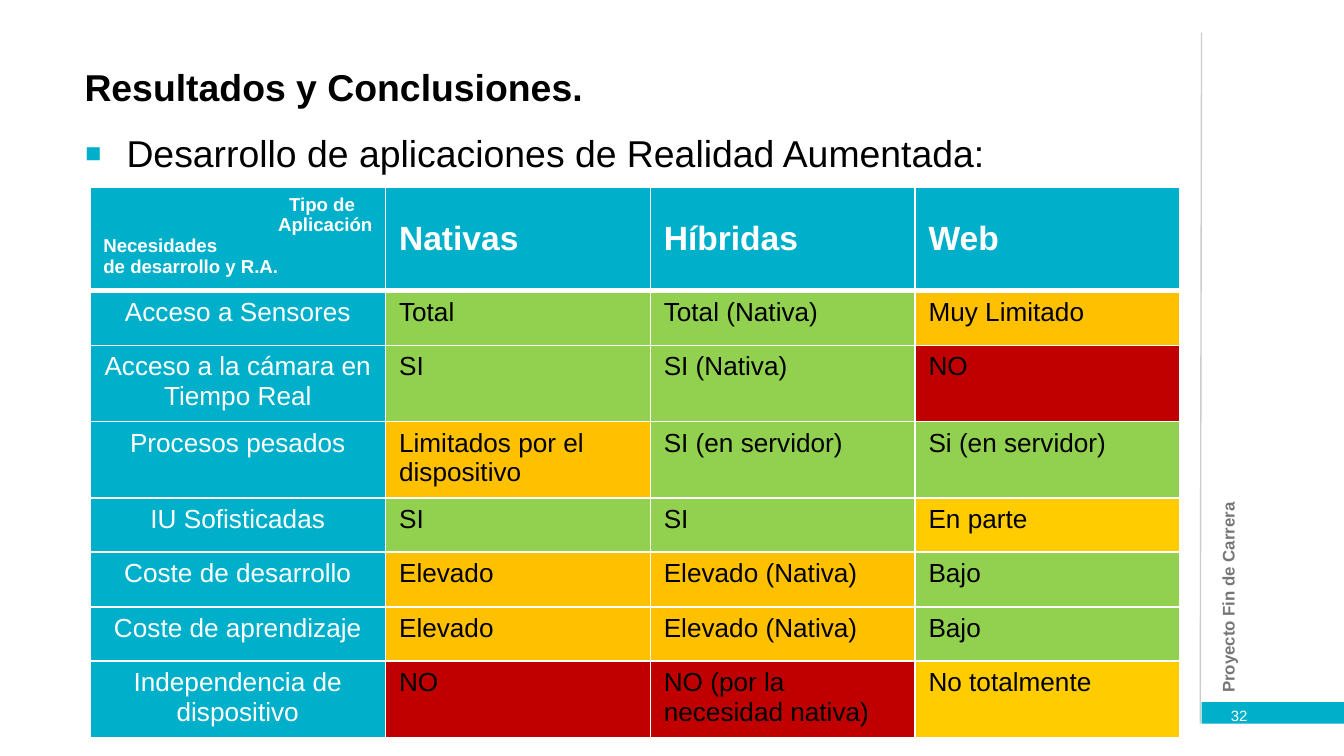
from lxml.etree import SubElement
from pptx import Presentation
from pptx.dml.color import RGBColor
from pptx.enum.shapes import MSO_CONNECTOR, MSO_SHAPE
from pptx.enum.text import MSO_ANCHOR as Anchor, PP_ALIGN as Align
from pptx.oxml.ns import qn
from pptx.util import Pt

TEAL = RGBColor(0x00, 0xB0, 0xCA)
WHITE = RGBColor(0xFF, 0xFF, 0xFF)
BLACK = RGBColor(0x00, 0x00, 0x00)
GREY = RGBColor(0x77, 0x77, 0x77)
RULE = RGBColor(0xCC, 0xCC, 0xCC)
GREEN = RGBColor(0x92, 0xD0, 0x50)
AMBER = RGBColor(0xFF, 0xC0, 0x00)
YELLOW = RGBColor(0xFF, 0xCC, 0x00)
RED = RGBColor(0xC0, 0x00, 0x00)

COLUMNS = ["Nativas", "Híbridas", "Web"]
# Need, then one (answer, rating colour) for each type of application
NEEDS = [
    ("Acceso a Sensores",
     ("Total", GREEN), ("Total (Nativa)", GREEN), ("Muy Limitado", AMBER)),
    ("Acceso a la cámara en Tiempo Real",
     ("SI", GREEN), ("SI (Nativa)", GREEN), ("NO", RED)),
    ("Procesos pesados",
     ("Limitados por el dispositivo", AMBER), ("SI (en servidor)", GREEN),
     ("Si (en servidor)", GREEN)),
    ("IU Sofisticadas",
     ("SI", GREEN), ("SI", GREEN), ("En parte", YELLOW)),
    ("Coste de desarrollo",
     ("Elevado", AMBER), ("Elevado (Nativa)", AMBER), ("Bajo", GREEN)),
    ("Coste de aprendizaje",
     ("Elevado", AMBER), ("Elevado (Nativa)", AMBER), ("Bajo", GREEN)),
    ("Independencia de dispositivo",
     ("NO", RED), ("NO (por la necesidad nativa)", RED),
     ("No totalmente", YELLOW)),
]
HEADER_HEIGHT, ONE_LINE, TWO_LINES = 52.2, 29.2, 38.6
TWO_LINE_NEEDS = {1, 2, 6}


def style(paragraph, size, color, bold=False, align=Align.LEFT):
    font = paragraph.font
    font.name, font.size, font.bold = "Arial", Pt(size), bold
    font.color.rgb = color
    paragraph.alignment = align


def add_text(slide, box, text, size, color, bold=False):
    label = slide.shapes.add_textbox(*map(Pt, box))
    label.text_frame.word_wrap = True
    paragraph = label.text_frame.paragraphs[0]
    paragraph.text = text
    style(paragraph, size, color, bold)
    return label


def add_heading(slide, left, top, width):
    title = add_text(slide, (left, top, width, 34.5),
                     "Resultados y Conclusiones.", 20, BLACK, bold=True)
    title.text_frame.paragraphs[0].line_spacing = Pt(23)

    # Bulleted subject
    subject = add_text(slide, (left, top + 34.5, width, 28),
                       "Desarrollo de aplicaciones de Realidad Aumentada:",
                       20, BLACK)
    paragraph = subject.text_frame.paragraphs[0]
    paragraph.space_before = Pt(4)
    props = paragraph._p.get_or_add_pPr()
    props.set("marL", str(Pt(22.5)))
    props.set("indent", str(-Pt(22.5)))
    bullet_color = SubElement(props, qn("a:buClr"))
    SubElement(bullet_color, qn("a:srgbClr"), val=str(TEAL))
    SubElement(props, qn("a:buSzPct"), val="140000")
    SubElement(props, qn("a:buFont"), typeface="Arial")
    SubElement(props, qn("a:buChar"), char="▪")
    # Child order in the schema: bullet before the default run properties
    props.append(props.find(qn("a:defRPr")))


def set_borders(cell, top, bottom):
    props = cell._tc.get_or_add_tcPr()
    widths = {"a:lnL": 1, "a:lnR": 1, "a:lnT": top, "a:lnB": bottom}
    for place, (tag, width) in enumerate(widths.items()):
        line = SubElement(props, qn(tag), w=str(Pt(width)))
        fill = SubElement(line, qn("a:solidFill"))
        SubElement(fill, qn("a:srgbClr"), val=str(WHITE))
        props.insert(place, line)


def fill_cell(cell, text, fill, size, color, bold=False, align=Align.LEFT):
    cell.fill.solid()
    cell.fill.fore_color.rgb = fill
    cell.text = text
    for paragraph in cell.text_frame.paragraphs:
        style(paragraph, size, color, bold, align)


def add_comparison(slide, left, top, width):
    heights = [HEADER_HEIGHT] + [TWO_LINES if i in TWO_LINE_NEEDS else ONE_LINE
                                 for i in range(len(NEEDS))]
    table = slide.shapes.add_table(
        len(heights), len(COLUMNS) + 1,
        Pt(left), Pt(top), Pt(width), Pt(sum(heights))).table
    need_width = 158.4
    table.columns[0].width = Pt(need_width)
    for i in range(1, len(COLUMNS) + 1):
        table.columns[i].width = Pt((width - need_width) / len(COLUMNS))
    for row, height in zip(table.rows, heights):
        row.height = Pt(height)

    # Header: the corner names both axes
    corner = table.cell(0, 0)
    fill_cell(corner, "Tipo de\nAplicación\nNecesidades\nde desarrollo y R.A.",
              TEAL, 10, WHITE, bold=True)
    kind, application = corner.text_frame.paragraphs[:2]
    kind._p.get_or_add_pPr().set("marL", str(Pt(99.5)))
    application.alignment = Align.RIGHT
    for i, name in enumerate(COLUMNS, 1):
        fill_cell(table.cell(0, i), name, TEAL, 18, WHITE, bold=True)
        table.cell(0, i).vertical_anchor = Anchor.MIDDLE

    # Needs and their ratings
    for r, (need, *ratings) in enumerate(NEEDS, 1):
        fill_cell(table.cell(r, 0), need, TEAL, 14, WHITE, align=Align.CENTER)
        for c, (answer, rating) in enumerate(ratings, 1):
            fill_cell(table.cell(r, c), answer, rating, 14, BLACK)

    for r in range(len(heights)):
        for cell in table.rows[r].cells:
            set_borders(cell, top=3 if r == 1 else 1, bottom=3 if r == 0 else 1)


def add_side_strip(slide, left, top, width, height):
    # Page number band
    band = slide.shapes.add_shape(MSO_SHAPE.RECTANGLE, Pt(left),
                                  Pt(top + height - 11.3), Pt(width), Pt(11.5))
    band.shadow.inherit = False
    band.fill.solid()
    band.fill.fore_color.rgb = TEAL
    band.line.fill.background()

    # Vertical project name, turned about its centre
    length, thickness = 202.4, 16.6
    center_x, center_y = left + 14.1, top + 252.5
    project = add_text(slide, (center_x - length / 2, center_y - thickness / 2,
                               length, thickness),
                       "Proyecto Fin de Carrera", 9, GREY, bold=True)
    project.rotation = 270
    frame = project.text_frame
    frame.vertical_anchor = Anchor.MIDDLE
    frame.margin_left = frame.margin_right = 0
    frame.margin_top = frame.margin_bottom = 0

    # Dividing line
    divider = slide.shapes.add_connector(
        MSO_CONNECTOR.STRAIGHT, Pt(left), Pt(top), Pt(left - 0.7),
        Pt(top + height))
    divider.line.color.rgb = RULE
    divider.line.width = Pt(0.75)
    SubElement(divider._element.spPr, qn("a:effectLst"))

    add_text(slide, (left + 8.6, top + height - 12.5, width - 8.6, 13),
             "32", 8, WHITE)


def main():
    deck = Presentation()
    deck.slide_width, deck.slide_height = Pt(720), Pt(405)
    slide = deck.slides.add_slide(deck.slide_layouts[6])
    add_side_strip(slide, 643.7, 17.5, 76.3, 370)
    add_heading(slide, 38.2, 31.7, 593.3)
    add_comparison(slide, 48.2, 100.5, 583.9)
    deck.save("out.pptx")


if __name__ == "__main__":
    main()
